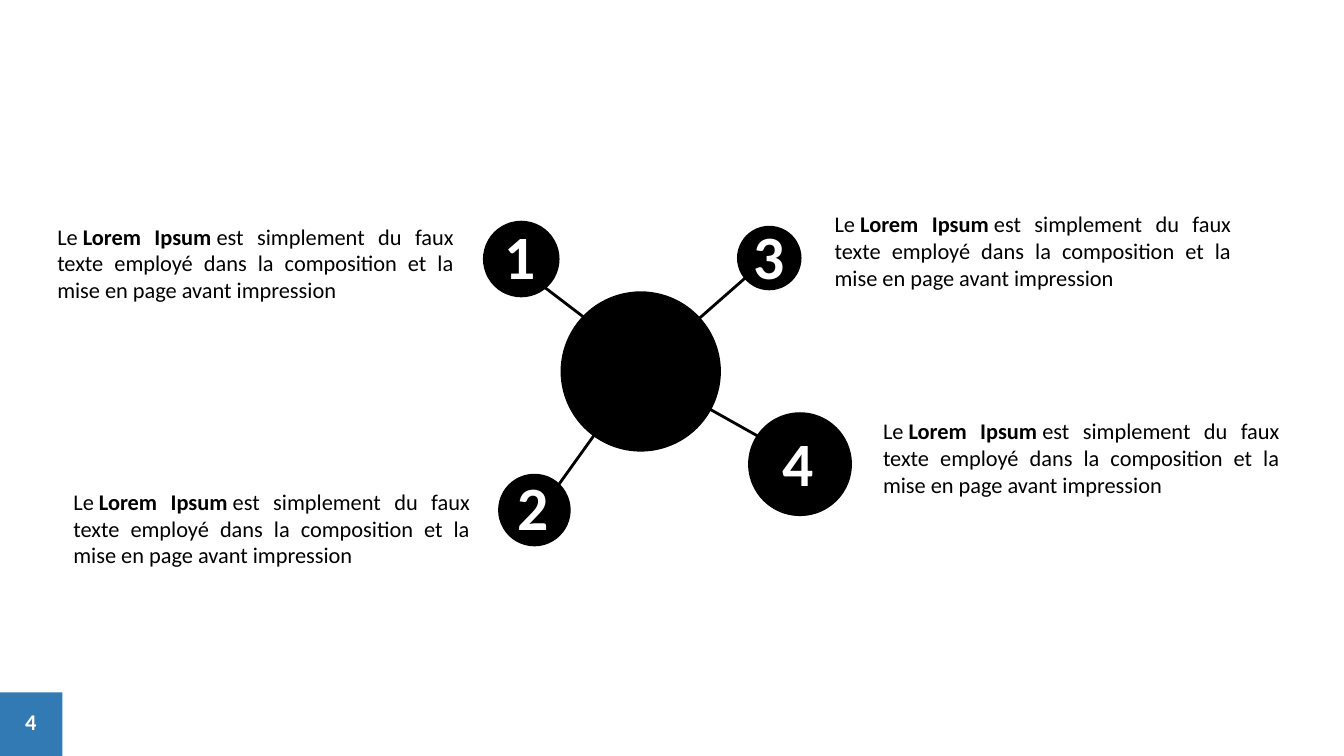
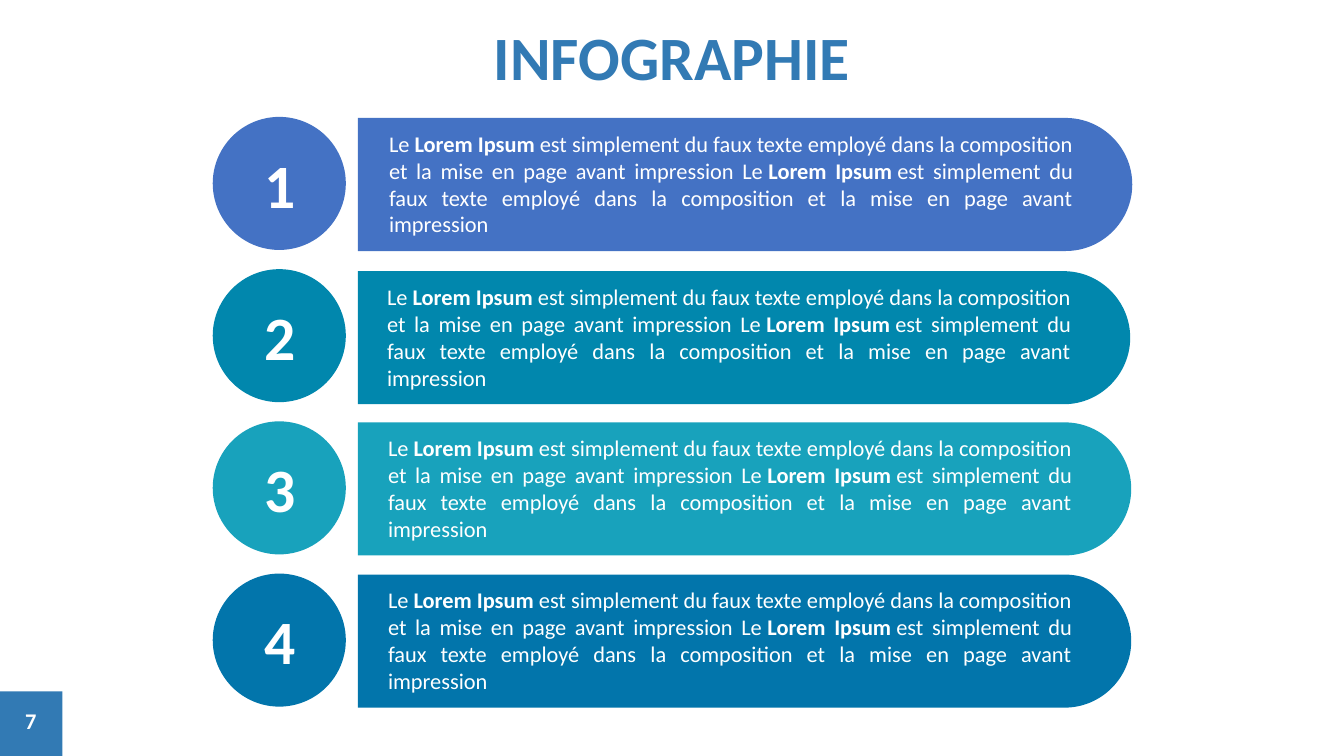
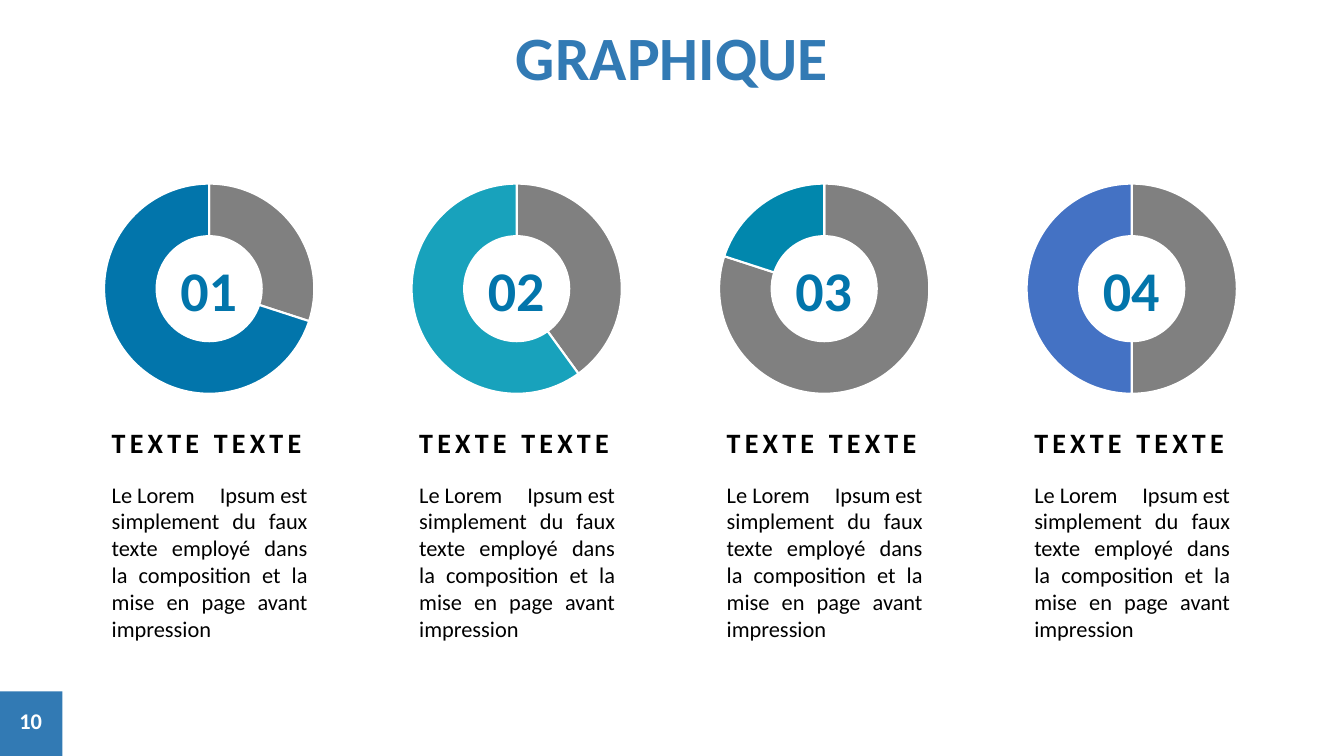
from lxml.etree import SubElement
from pptx import Presentation
from pptx.chart.data import CategoryChartData
from pptx.dml.color import RGBColor
from pptx.enum.chart import XL_CHART_TYPE as ChartType
from pptx.enum.shapes import MSO_CONNECTOR as Connector
from pptx.enum.shapes import MSO_SHAPE as Preset
from pptx.enum.text import MSO_ANCHOR as Anchor
from pptx.enum.text import MSO_AUTO_SIZE as AutoSize
from pptx.enum.text import PP_ALIGN as Align
from pptx.oxml.ns import qn
from pptx.util import Inches, Pt

FONT = "Calibri"
PAGE_WIDTH = 13.33
BLACK, WHITE, GREY, BRAND = "000000", "FFFFFF", "808080", "327AB4"
INDIGO, TEAL, TURQUOISE, BLUE, ORANGE = "4472C4", "0187AD", "18A2BC", "0275AB", "ED7D31"

HARD_SPACE = chr(160)
LOREM = (f"Le{HARD_SPACE}**Lorem Ipsum**{HARD_SPACE}est simplement du faux texte employé "
         "dans la composition et la mise en page avant impression")
PLAIN_LOREM = LOREM.replace("**", "")

HUB = (5.56, 2.89, 1.59)
SPOKES = [
    ("1", (4.79, 2.19, 0.76), (6.24, 3.49, 5.23, 2.72), (4.91, 2.11), (0.47, 2.16)),
    ("2", (4.94, 4.70, 0.72), (5.92, 4.28, 5.49, 4.88), (5.03, 4.60), (0.63, 4.79)),
    ("3", (7.31, 2.24, 0.64), (6.82, 3.26, 7.40, 2.75), (7.37, 2.11), (8.18, 2.04)),
    ("4", (7.42, 4.09, 1.03), (6.90, 3.98, 7.54, 4.34), (7.66, 4.16), (8.66, 4.09)),
]
STEPS = [(INDIGO, 1.17, 7.68), (TEAL, 2.69, 7.66), (TURQUOISE, 4.19, 7.67), (BLUE, 5.70, 7.67)]
STEP_PITCH = 1.51
RINGS = [(30, 70, BLUE), (40, 60, TURQUOISE), (80, 20, TEAL), (50, 50, INDIGO)]
RING_PITCH = 3.05


def color(value):
    return RGBColor.from_string(value)


def paint(shape, fill):
    shape.shadow.inherit = False
    shape.fill.solid()
    shape.fill.fore_color.rgb = color(fill)
    shape.line.fill.background()


def add_preset(page, kind, left, top, size, fill):
    shape = page.shapes.add_shape(kind, Inches(left), Inches(top), Inches(size), Inches(size))
    paint(shape, fill)


def add_text(page, text, left, top, width, height, size, fill=BLACK, bold=False,
             align=Align.LEFT, anchor=Anchor.TOP, wrap=True, spacing=0):
    box = page.shapes.add_textbox(Inches(left), Inches(top), Inches(width), Inches(height))
    frame = box.text_frame
    frame.word_wrap = wrap
    frame.auto_size = AutoSize.SHAPE_TO_FIT_TEXT
    frame.vertical_anchor = anchor
    para = frame.paragraphs[0]
    para.alignment = align
    for index, part in enumerate(text.split("**")):
        span = para.add_run()
        span.text = part
        span.font.name = FONT
        span.font.size = Pt(size)
        span.font.bold = bold or index % 2 == 1
        span.font.color.rgb = color(fill)
        if spacing:
            span.font._element.set("spc", str(spacing * 100))


def add_number(page, text, left, top, width, height, size=44, fill=WHITE):
    add_text(page, text, left, top, width, height, size, fill, bold=True,
             anchor=Anchor.MIDDLE, wrap=False)


def add_body(page, text, left, top, width, height, fill=BLACK):
    add_text(page, text, left, top, width, height, 16, fill, align=Align.JUSTIFY)


def add_line(page, start_x, start_y, end_x, end_y):
    line = page.shapes.add_connector(Connector.STRAIGHT, Inches(start_x), Inches(start_y),
                                     Inches(end_x), Inches(end_y))
    line.line.color.rgb = color(BLACK)
    line.line.width = Pt(2)
    SubElement(line._element.spPr, qn("a:effectLst"))


def bend(segment, controls):
    segment.tag = qn("a:cubicBezTo")
    for index, (x, y) in enumerate(controls):
        point = segment.makeelement(qn("a:pt"), {"x": str(int(x)), "y": str(int(y))})
        segment.insert(index, point)


def add_round_bar(page, left, top, width, height, fill):
    radius = height / 2
    shoulder, right = left + width - radius, left + width
    corners = [(shoulder, top), (right, top + radius), (shoulder, top + height),
               (left, top + height)]
    builder = page.shapes.build_freeform(Inches(left), Inches(top))
    builder.add_line_segments([(Inches(x), Inches(y)) for x, y in corners], close=True)
    bar = builder.convert_to_shape()
    segments = list(bar._element.iter(qn("a:lnTo")))
    pull = 0.55 * radius
    near, far = Inches(width - radius + pull), Inches(width)
    bend(segments[1], [(near, 0), (far, Inches(radius - pull))])
    bend(segments[2], [(far, Inches(radius + pull)), (near, Inches(height))])
    paint(bar, fill)


def set_plot_layout(chart, x, y, w, h):
    plot_area = chart._chartSpace.chart.plotArea
    for old in plot_area.findall(qn("c:layout")):
        plot_area.remove(old)
    layout = plot_area.makeelement(qn("c:layout"))
    plot_area.insert(0, layout)
    manual = SubElement(layout, qn("c:manualLayout"))
    settings = [("layoutTarget", "inner"), ("xMode", "edge"), ("yMode", "edge"),
                ("x", x), ("y", y), ("w", w), ("h", h)]
    for name, value in settings:
        SubElement(manual, qn("c:" + name)).set("val", str(value))


def add_ring(page, left, top, rest, share, fill):
    data = CategoryChartData()
    data.categories = ["1", "2", "3", "4"]
    data.add_series("Series 1", [None, None, rest, share])
    chart = page.shapes.add_chart(ChartType.DOUGHNUT, Inches(left), Inches(top),
                                  Inches(3.55), Inches(2.37), data).chart
    chart.has_legend = False
    chart.has_title = False
    chart.font.name = FONT
    chart.font.size = Pt(10)
    chart.font.color.rgb = color(BLACK)
    plot = chart.plots[0]
    plot.vary_by_categories = True
    plot._element.find(qn("c:holeSize")).set("val", "75")
    for index, slice_fill in enumerate([INDIGO, ORANGE, GREY, fill]):
        style = plot.series[0].points[index].format
        style.fill.solid()
        style.fill.fore_color.rgb = color(slice_fill)
        style.line.color.rgb = color(WHITE)
        style.line.width = Pt(1.5)
    set_plot_layout(chart, 0.2, 0.06, 0.6, 0.88)


def add_page_number(page, number, top=6.86):
    add_preset(page, Preset.RECTANGLE, -0.02, top, 0.64, BRAND)
    add_text(page, number, 0.09, top + 0.11, 0.43, 0.37, 16, WHITE, bold=True,
             align=Align.CENTER)


def add_title(page, title, width):
    add_text(page, title, (PAGE_WIDTH - width) / 2, 0.13, width, 0.84, 44, BRAND, bold=True,
             align=Align.CENTER, anchor=Anchor.MIDDLE, wrap=False)


def add_page(deck):
    return deck.slides.add_slide(deck.slide_layouts[6])


def build_hub(deck):
    page = add_page(deck)
    add_preset(page, Preset.OVAL, *HUB, BLACK)
    for number, circle, line, number_at, body_at in SPOKES:
        add_preset(page, Preset.OVAL, *circle, BLACK)
        add_line(page, *line)
        add_number(page, number, *number_at, 0.51, 0.84)
        add_body(page, LOREM, *body_at, 4.13, 0.91)
    add_page_number(page, "4", 6.87)


def build_steps(deck):
    page = add_page(deck)
    add_page_number(page, "7")
    add_title(page, "INFOGRAPHIE", 3.77)
    for index, (fill, bar_top, bar_width) in enumerate(STEPS):
        add_round_bar(page, 3.55, bar_top, bar_width, 1.32, fill)
        add_body(page, LOREM + " " + LOREM, bar_width - 3.92, bar_top + 0.07, 6.98, 1.18, WHITE)
        circle_top = 1.16 + index * STEP_PITCH
        add_preset(page, Preset.OVAL, 2.11, circle_top, 1.32, fill)
        add_number(page, str(index + 1), 2.53, circle_top + 0.28, 0.46, 0.76)


def build_rings(deck):
    page = add_page(deck)
    add_page_number(page, "10")
    add_title(page, "GRAPHIQUE", 3.32)
    for index, (rest, share, fill) in enumerate(RINGS):
        left = 0.3 + index * RING_PITCH
        add_ring(page, left, 1.68, rest, share, fill)
        add_number(page, f"0{index + 1}", left + 1.39, 2.48, 0.77, 0.77, 40, BLUE)
        add_body(page, PLAIN_LOREM, left + 0.71, 4.72, 2.14, 1.72)
        add_text(page, "TEXTE TEXTE", left + 0.71, 4.17, 2.14, 0.44, 20, bold=True,
                 align=Align.JUSTIFY, wrap=False, spacing=3)


def main():
    deck = Presentation()
    deck.slide_width = Inches(PAGE_WIDTH)
    deck.slide_height = Inches(7.5)
    build_hub(deck)
    build_steps(deck)
    build_rings(deck)
    deck.save("out.pptx")


if __name__ == "__main__":
    main()
